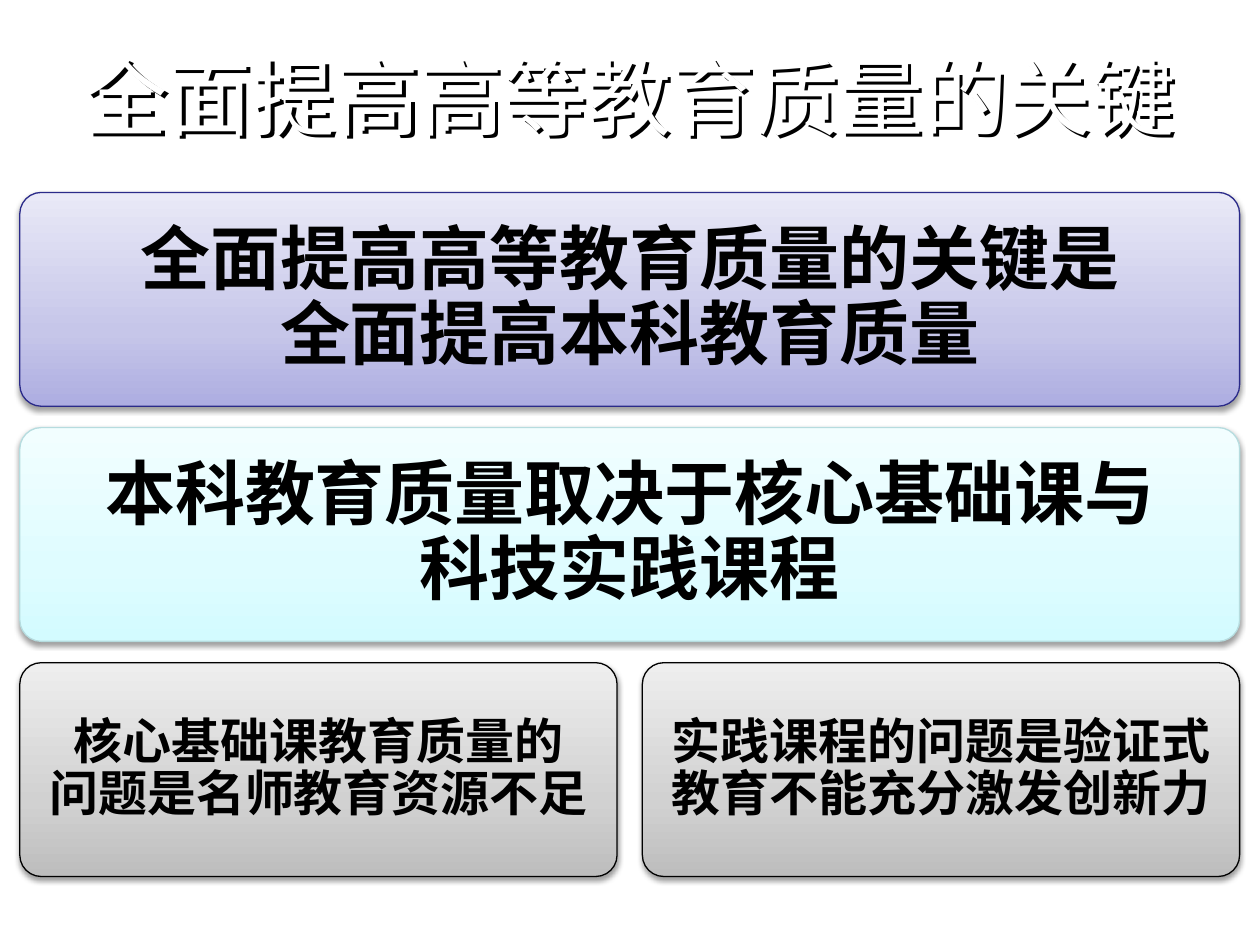
from typing import NamedTuple

from lxml import etree
from pptx import Presentation
from pptx import util as u
from pptx.dml.color import RGBColor
from pptx.enum import shapes, text
from pptx.oxml import ns

COLORS = {"white": "FFFFFF", "black": "000000", "violet": "2A2A89", "cyan": "B6DCDF"}
# Gradient stops from bottom to top
GRADIENTS = {
    "violet": ("ADADE1", "C6C6E9", "E9E9F7"),
    "cyan": ("D3FBFF", "DFFCFF", "F2FEFF"),
    "black": ("BDBDBD", "D1D1D1", "EEEEEE"),
}
STOPS = (0, 35000, 100000)

LEFT, TOP, FULL_WIDTH, HEIGHT = 0.4, 3.88, 24.59, 4.31
ROW_GAP, COLUMN_GAP = 0.43, 0.51
HALF_WIDTH = (FULL_WIDTH - COLUMN_GAP) / 2


class Panel(NamedTuple):
    row: int
    column: int
    width: float
    theme: str
    size: int
    inset: float
    font: str
    lines: tuple[str, ...]


PANELS = (
    Panel(0, 0, FULL_WIDTH, "violet", 40, 0.43, "Arial",
          ("全面提高高等教育质量的关键是", "全面提高本科教育质量")),
    Panel(1, 0, FULL_WIDTH, "cyan", 40, 0.43, "Arial",
          ("本科教育质量取决于核心基础课与", "科技实践课程")),
    Panel(2, 0, HALF_WIDTH, "black", 28, 0.3, "Arial",
          ("核心基础课教育质量的", "问题是名师教育资源不足")),
    Panel(2, 1, HALF_WIDTH, "black", 28, 0.3, "Noto Sans CJK SC",
          ("实践课程的问题是验证式教育不能充分激发创新力",)),
)


def add_child(parent, tag: str, **attributes):
    """Append a DrawingML element and return it."""
    values = {name: str(value) for name, value in attributes.items()}
    return etree.SubElement(parent, ns.qn(f"a:{tag}"), values)


def add_shadow(shape, blur: float, distance: float, degrees: int, opacity: int) -> None:
    effects = add_child(shape._element.spPr, "effectLst")
    shadow = add_child(effects, "outerShdw", blurRad=u.Pt(blur), dist=u.Pt(distance),
                       dir=degrees * 60000, algn="ctr", rotWithShape=0)
    color = add_child(shadow, "srgbClr", val=COLORS["black"])
    add_child(color, "alpha", val=opacity * 1000)


def write_lines(frame, lines: tuple[str, ...], size: int, font: str, color: str,
                inset: float, bold: bool, spacing: float) -> None:
    frame.word_wrap = True
    frame.vertical_anchor = text.MSO_ANCHOR.MIDDLE
    frame.margin_left = frame.margin_right = u.Cm(inset)
    frame.margin_top = frame.margin_bottom = u.Cm(inset)
    frame.text = "\n".join(lines)
    for paragraph in frame.paragraphs:
        paragraph.alignment = text.PP_ALIGN.CENTER
        paragraph.line_spacing = spacing
        paragraph.font.size = u.Pt(size)
        paragraph.font.name = font
        paragraph.font.bold = bold
        paragraph.font.color.rgb = RGBColor.from_string(COLORS[color])


def add_title(slide, title: str) -> None:
    box = slide.shapes.add_textbox(u.Cm(0), u.Cm(0.23), u.Cm(25.4), u.Cm(3.4))
    write_lines(box.text_frame, (title,), 48, "Arial", "white", 0.13, False, 1.0)
    # On an unfilled box the shadow falls from the letters
    add_shadow(box, 0, 2.5, 45, 100)


def add_panel(slide, panel: Panel) -> None:
    left = LEFT + panel.column * (HALF_WIDTH + COLUMN_GAP)
    top = TOP + panel.row * (HEIGHT + ROW_GAP)
    shape = slide.shapes.add_shape(shapes.MSO_SHAPE.ROUNDED_RECTANGLE, u.Cm(left), u.Cm(top),
                                   u.Cm(panel.width), u.Cm(HEIGHT))
    shape.adjustments[0] = 0.1
    # Three-stop gradient, placed right after the geometry
    gradient = add_child(shape._element.spPr, "gradFill", rotWithShape=1)
    stops = add_child(gradient, "gsLst")
    for position, color in zip(STOPS, GRADIENTS[panel.theme]):
        add_child(add_child(stops, "gs", pos=position), "srgbClr", val=color)
    add_child(gradient, "lin", ang=270 * 60000, scaled=0)
    # Outline and shadow
    shape.line.color.rgb = RGBColor.from_string(COLORS[panel.theme])
    shape.line.width = u.Pt(0.75)
    add_shadow(shape, 3.1, 1.6, 90, 38)
    write_lines(shape.text_frame, panel.lines, panel.size, panel.font, "black",
                panel.inset, True, 0.9)


presentation = Presentation()
presentation.slide_width, presentation.slide_height = u.Cm(25.4), u.Cm(19.05)
slide = presentation.slides.add_slide(presentation.slide_layouts[6])

# Title
add_title(slide, "全面提高高等教育质量的关键")

# Panels
for panel in PANELS:
    add_panel(slide, panel)

presentation.save("out.pptx")
